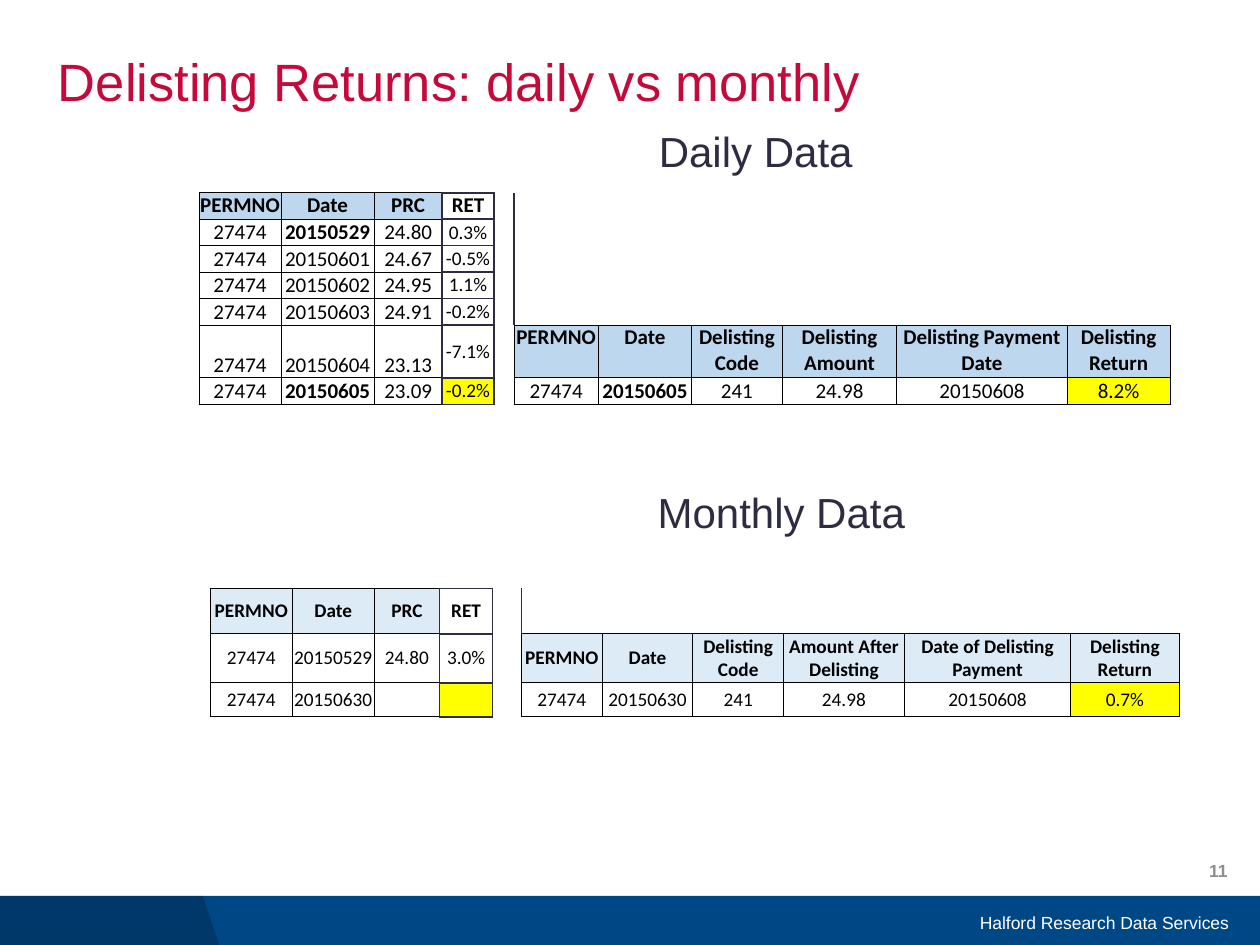
from lxml import etree
from pptx import Presentation
from pptx.dml.color import RGBColor as RGB
from pptx.enum.shapes import MSO_SHAPE as Shape
from pptx.enum.text import MSO_ANCHOR as Anchor, PP_ALIGN as Align
from pptx.oxml.ns import qn
from pptx.util import Inches, Pt

HUES = {
    "red": "C5093B", "ink": "2D2C41", "blue": "004785", "gray": "8F8F93",
    "black": "000000", "white": "FFFFFF", "sky": "BDD7EE", "pale": "DDEBF7",
    "gold": "FFFF00",
}
RET = 3
PLAIN = "{2D5ABB26-0587-4C30-8999-92F81FD0307C}"


class Deck:
    def __init__(self):
        self.prs = Presentation()
        self.prs.slide_width = Inches(10)
        self.prs.slide_height = Inches(7.5)
        self.slide = self.prs.slides.add_slide(self.prs.slide_layouts[6])
        self.shapes = self.slide.shapes

    def hue(self, name):
        return RGB.from_string(HUES[name])

    def run(self, para, text, size, hue, font="Arial", bold=False):
        run = para.add_run()
        run.text = text
        run.font.name = font
        run.font.size = Pt(size)
        run.font.bold = bold
        run.font.color.rgb = self.hue(hue)

    def paint(self, shape, hue):
        shape.shadow.inherit = False
        shape.fill.solid()
        shape.fill.fore_color.rgb = self.hue(hue)
        shape.line.fill.background()

    def bar(self, box, hue):
        shape = self.shapes.add_shape(Shape.RECTANGLE, *map(Inches, box))
        self.paint(shape, hue)

    def wedge(self, points, hue, alpha):
        spots = [(Inches(x), Inches(y)) for x, y in points]
        form = self.shapes.build_freeform(*spots[0])
        form.add_line_segments(spots[1:], close=True)
        shape = form.convert_to_shape()
        self.paint(shape, hue)
        color = shape.fill._xPr.find(".//" + qn("a:srgbClr"))
        etree.SubElement(color, qn("a:alpha"), val=str(alpha * 1000))

    def text(self, box, words, size, hue, align=Align.LEFT,
             anchor=Anchor.TOP, bold=False, side=0.1, lead=None):
        frame = self.shapes.add_textbox(*map(Inches, box)).text_frame
        frame.word_wrap = True
        frame.margin_left = frame.margin_right = Inches(side)
        frame.vertical_anchor = anchor
        para = frame.paragraphs[0]
        para.alignment = align
        para.line_spacing = lead
        self.run(para, words, size, hue, bold=bold)

    def edge(self, cell, side, hue, width):
        line = etree.SubElement(cell._tc.get_or_add_tcPr(), qn("a:" + side),
                                w=str(Pt(width)))
        fill = etree.SubElement(line, qn("a:solidFill"))
        etree.SubElement(fill, qn("a:srgbClr"), val=HUES[hue])

    def border(self, cell, rows, i, j):
        near = {"lnL": (i, j - 1), "lnR": (i, j + 1),
                "lnT": (i - 1, j), "lnB": (i + 1, j)}
        for side, (r, c) in near.items():
            other = None
            if 0 <= r < len(rows) and 0 <= c < len(rows[0]):
                other = rows[r][c]
            if j == RET or c == RET and other is not None:
                self.edge(cell, side, "ink", 1)
            elif rows[i][j] is not None or other is not None:
                self.edge(cell, side, "black", 0.5)

    def table(self, left, top, cols, highs, rows, head, size, strong=(),
              tops=Anchor.MIDDLE, body=Anchor.MIDDLE):
        frame = self.shapes.add_table(
            len(rows), len(cols), Inches(left), Inches(top),
            Inches(sum(cols)), Inches(sum(highs)))
        table = frame.table
        table.first_row = table.horz_banding = False
        table._tbl.tblPr.find(qn("a:tableStyleId")).text = PLAIN
        for col, wide in zip(table.columns, cols):
            col.width = Inches(wide)
        for row, high in zip(table.rows, highs):
            row.height = Inches(high)
        for i, row in enumerate(rows):
            for j, words in enumerate(row):
                cell = table.cell(i, j)
                cell.margin_left = cell.margin_right = 0
                cell.margin_top = cell.margin_bottom = 0
                title = bool(words) and words[0].isalpha()
                ret = j == RET and not title
                cell.vertical_anchor = (
                    Anchor.MIDDLE if ret else tops if title else body)
                self.border(cell, rows, i, j)
                para = cell.text_frame.paragraphs[0]
                para.alignment = Align.CENTER
                if words:
                    self.run(para, words, 11 if ret else size, "black",
                             "Calibri", title or words in strong)
                else:
                    etree.SubElement(para._p, qn("a:endParaRPr"), sz="1100")
                if i == len(rows) - 1 and j in (RET, len(cols) - 1):
                    fill = "gold"
                else:
                    fill = head if title and j != RET else None
                if fill:
                    cell.fill.solid()
                    cell.fill.fore_color.rgb = self.hue(fill)
                else:
                    cell.fill.background()


def main():
    deck = Deck()
    deck.bar((0, 7.11, 10, 0.42), "blue")
    deck.wedge([(0, 7.11), (1.61, 7.11), (1.75, 7.53), (0, 7.53)],
               "black", 20)
    deck.text((0.46, 0.4, 8.62, 0.56), "Delisting Returns: daily vs monthly",
              30, "red", side=0, lead=0.9)
    deck.text((6.47, 7.12, 3.38, 0.4), "Halford Research Data Services",
              10, "white", Align.RIGHT, Anchor.MIDDLE)
    deck.text((7.59, 6.71, 2.25, 0.4), "11", 10, "gray", Align.RIGHT,
              Anchor.MIDDLE, True)

    firm = "27474"
    names = ["PERMNO", "Date", "PRC", "RET"]
    gap = [None] * 7
    days = [
        ("20150529", "24.80", "0.3%"), ("20150601", "24.67", "-0.5%"),
        ("20150602", "24.95", "1.1%"), ("20150603", "24.91", "-0.2%"),
    ]
    daily = [names + gap]
    daily += [[firm, *day] + gap for day in days]
    daily += [
        [firm, "20150604", "23.13", "-7.1%", None, "PERMNO", "Date",
         "Delisting Code", "Delisting Amount", "Delisting Payment Date",
         "Delisting Return"],
        [firm, "20150605", "23.09", "-0.2%", None, firm, "20150605",
         "241", "24.98", "20150608", "8.2%"],
    ]
    deck.table(
        1.58, 1.53,
        [0.65, 0.74, 0.54, 0.41, 0.16, 0.67, 0.74, 0.72, 0.91, 1.35, 0.82],
        [0.21] * 5 + [0.42, 0.21], daily, "sky", 12,
        ("20150529", "20150605"), Anchor.TOP, Anchor.BOTTOM)

    monthly = [
        names + gap,
        [firm, "20150529", "24.80", "3.0%", None, "PERMNO", "Date",
         "Delisting Code", "Amount After Delisting",
         "Date of Delisting Payment", "Delisting Return"],
        [firm, "20150630", "", "", None, firm, "20150630",
         "241", "24.98", "20150608", "0.7%"],
    ]
    deck.table(
        1.67, 4.67,
        [0.65, 0.65, 0.52, 0.42, 0.23, 0.64, 0.72, 0.72, 0.96, 1.32, 0.86],
        [0.36, 0.39, 0.27], monthly, "pale", 11)

    deck.text((5.13, 0.95, 3.12, 0.5), "Daily Data", 24, "ink")
    deck.text((5.12, 3.81, 3.12, 0.5), "Monthly Data", 24, "ink")
    deck.prs.save("out.pptx")


if __name__ == "__main__":
    main()
